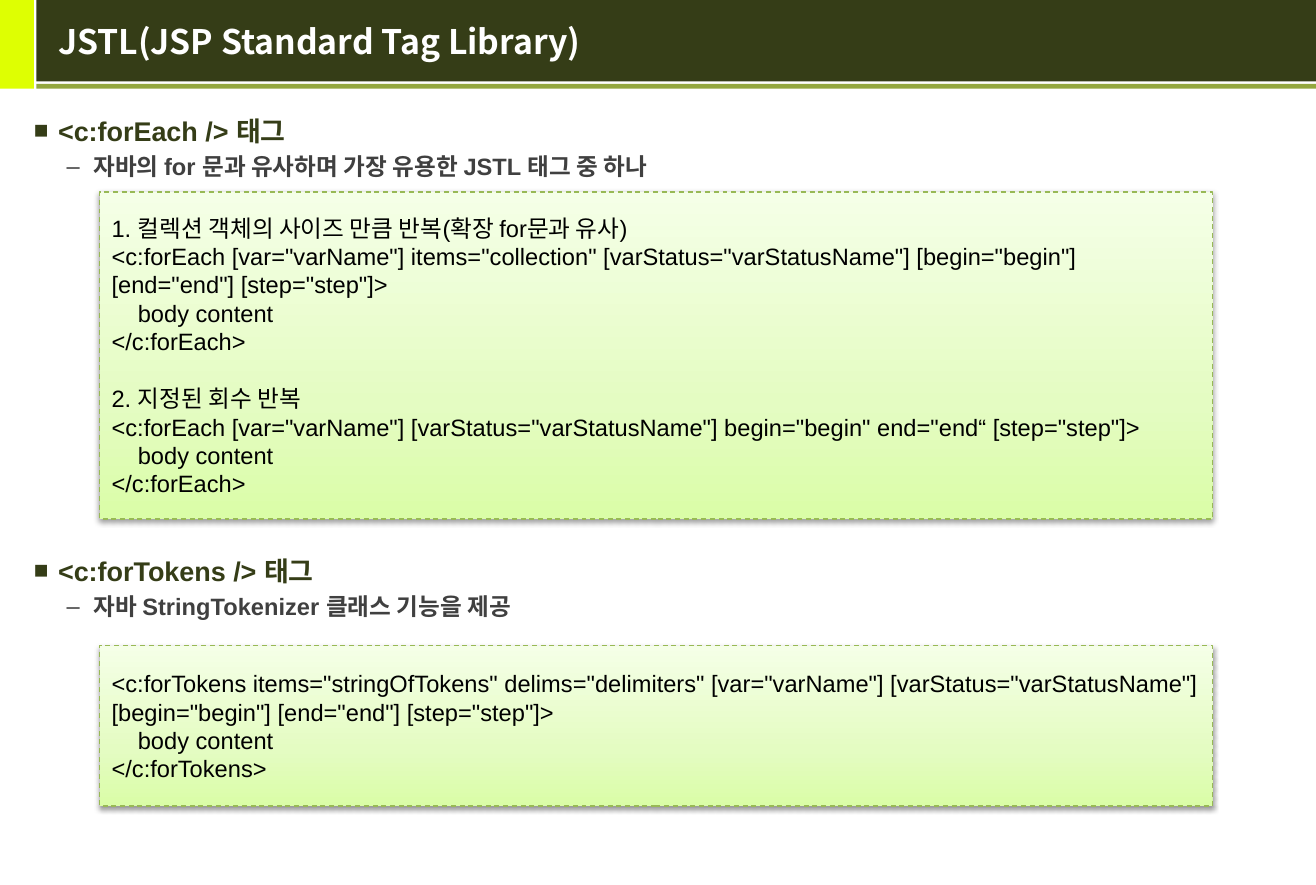
import copy

import pptx
import pptx.dml.color
import pptx.enum.dml
import pptx.enum.shapes
import pptx.enum.text
import pptx.oxml
import pptx.oxml.ns
import pptx.util

Inches = pptx.util.Inches
Pt = pptx.util.Pt
RGBColor = pptx.dml.color.RGBColor
Align = pptx.enum.text.PP_ALIGN
Anchor = pptx.enum.text.MSO_ANCHOR
qn = pptx.oxml.ns.qn

LIME = RGBColor(0xDE, 0xFF, 0x02)
DARK_OLIVE = RGBColor(0x35, 0x3D, 0x17)
OLIVE = RGBColor(0x93, 0xA7, 0x3F)
BORDER = RGBColor(0x98, 0xB9, 0x55)
GRAY = RGBColor(0x40, 0x40, 0x40)
BLACK = RGBColor(0, 0, 0)
WHITE = RGBColor(0xFF, 0xFF, 0xFF)
GRADIENT = [
    (0, RGBColor(0xDA, 0xFD, 0xA7)),
    (0.35, RGBColor(0xE4, 0xFC, 0xC2)),
    (1, RGBColor(0xF5, 0xFF, 0xE7)),
]

TITLE_FONT = dict(name="Noto Sans CJK KR", size=Pt(20), bold=True, color=WHITE)
HEADING_FONT = dict(name="Arial", size=Pt(16), bold=True, color=DARK_OLIVE)
DETAIL_FONT = dict(name="Arial", size=Pt(14), bold=True, color=GRAY)
CODE_FONT = dict(name="Arial", size=Pt(14), bold=False, color=BLACK)

HEADING_BULLET = dict(character="■", color=DARK_OLIVE, size=90, margin=0.2, indent=-0.2)
DETAIL_BULLET = dict(character="–", color=GRAY, size=100, margin=0.49, indent=-0.22)

# Each section: heading top, heading, detail, code top, code height, code blocks
SECTIONS = [
    (0.89, "<c:forEach /> 태그", "자바의 for 문과 유사하며 가장 유용한 JSTL 태그 중 하나", 1.58, 2.69, [
        ["1. 컬렉션 객체의 사이즈 만큼 반복(확장 for문과 유사)",
         '<c:forEach [var="varName"] items="collection" [varStatus="varStatusName"] '
         '[begin="begin"] [end="end"] [step="step"]>',
         "    body content",
         "</c:forEach>"],
        ["2. 지정된 회수 반복",
         '<c:forEach [var="varName"] [varStatus="varStatusName"] '
         'begin="begin" end="end“ [step="step"]>',
         "    body content",
         "</c:forEach>"],
    ]),
    (4.51, "<c:forTokens /> 태그", "자바 StringTokenizer 클래스 기능을 제공", 5.31, 1.32, [
        ['<c:forTokens items="stringOfTokens" delims="delimiters" [var="varName"] '
         '[varStatus="varStatusName"] [begin="begin"] [end="end"] [step="step"]>',
         "    body content",
         "</c:forTokens>"],
    ]),
]


def write(paragraph, text, font_values):
    paragraph.alignment = Align.LEFT
    run = paragraph.add_run()
    run.text = text
    for name, value in font_values.items():
        if name == "color":
            run.font.color.rgb = value
        else:
            setattr(run.font, name, value)


def next_paragraph(frame):
    first = frame.paragraphs[0]
    return frame.add_paragraph() if first.runs else first


def set_bullet(paragraph, bullet):
    properties = paragraph._p.get_or_add_pPr()
    properties.set("marL", str(Inches(bullet["margin"])))
    properties.set("indent", str(Inches(bullet["indent"])))
    color = pptx.oxml.ns.nsdecls("a")
    for xml in (
        f'<a:buClr {color}><a:srgbClr val="{bullet["color"]}"/></a:buClr>',
        f'<a:buSzPct {color} val="{bullet["size"] * 1000}"/>',
        f'<a:buFont {color} typeface="Arial"/>',
        f'<a:buChar {color} char="{bullet["character"]}"/>',
    ):
        properties.append(pptx.oxml.parse_xml(xml))


def add_rectangle(slide, left, top, width, height):
    shape = slide.shapes.add_shape(
        pptx.enum.shapes.MSO_SHAPE.RECTANGLE,
        Inches(left), Inches(top), Inches(width), Inches(height))
    shape.shadow.inherit = False
    return shape


def add_bar(slide, left, top, width, height, color):
    bar = add_rectangle(slide, left, top, width, height)
    bar.fill.solid()
    bar.fill.fore_color.rgb = color
    bar.line.fill.background()


def set_title(slide, text):
    title = slide.shapes.title
    placement = dict(left=Inches(0.38), top=Inches(0), width=Inches(10.32), height=Inches(0.68))
    for name, value in placement.items():
        setattr(title, name, value)
    title.text_frame.vertical_anchor = Anchor.MIDDLE
    write(title.text_frame.paragraphs[0], text, TITLE_FONT)
    # Bring the title in front of the header bars
    slide.shapes._spTree.append(title._element)


def add_heading(slide, top, heading, detail):
    box = slide.shapes.add_textbox(Inches(0.18), Inches(top), Inches(10.47), Inches(0.65))
    frame = box.text_frame
    frame.word_wrap = True
    for text, bullet, font in ((heading, HEADING_BULLET, HEADING_FONT),
                               (detail, DETAIL_BULLET, DETAIL_FONT)):
        paragraph = next_paragraph(frame)
        if text == detail:
            paragraph.space_before = Pt(3)
        set_bullet(paragraph, bullet)
        write(paragraph, text, font)


def set_gradient(shape):
    shape.fill.gradient()
    stop_list = shape._element.spPr.find(".//" + qn("a:gsLst"))
    stop_list.append(copy.deepcopy(stop_list[0]))
    for stop, (position, color) in zip(shape.fill.gradient_stops, GRADIENT):
        stop.position = position
        stop.color.rgb = color
    shape.fill.gradient_angle = 90


def add_shadow(shape):
    effects = shape._element.spPr.find(qn("a:effectLst"))
    effects.append(pptx.oxml.parse_xml(
        f'<a:outerShdw {pptx.oxml.ns.nsdecls("a")} blurRad="{Pt(3.1)}" dist="{Pt(1.6)}" '
        'dir="5400000" rotWithShape="0"><a:srgbClr val="000000">'
        '<a:alpha val="38000"/></a:srgbClr></a:outerShdw>'))


def add_code_box(slide, top, height, blocks):
    box = add_rectangle(slide, 0.82, top, 9.16, height)
    set_gradient(box)
    add_shadow(box)
    box.line.color.rgb = BORDER
    box.line.width = Pt(0.75)
    box.line.dash_style = pptx.enum.dml.MSO_LINE.DASH
    frame = box.text_frame
    frame.word_wrap = True
    frame.vertical_anchor = Anchor.MIDDLE
    for block_number, block in enumerate(blocks):
        for line_number, line in enumerate(block):
            paragraph = next_paragraph(frame)
            if block_number and line_number == 0:
                paragraph.space_before = Pt(17)
            write(paragraph, line, CODE_FONT)


def main():
    presentation = pptx.Presentation()
    presentation.slide_width = Inches(10.83)
    presentation.slide_height = Inches(7.28)
    slide = presentation.slides.add_slide(presentation.slide_layouts[5])

    # Header
    add_bar(slide, 0, 0, 0.28, 0.73, LIME)
    add_bar(slide, 0.3, 0, 10.53, 0.67, DARK_OLIVE)
    add_bar(slide, 0.3, 0.69, 10.53, 0.04, OLIVE)
    set_title(slide, "JSTL(JSP Standard Tag Library)")

    # Tag sections
    for heading_top, heading, detail, code_top, code_height, blocks in SECTIONS:
        add_heading(slide, heading_top, heading, detail)
        add_code_box(slide, code_top, code_height, blocks)

    presentation.save("out.pptx")


if __name__ == "__main__":
    main()
